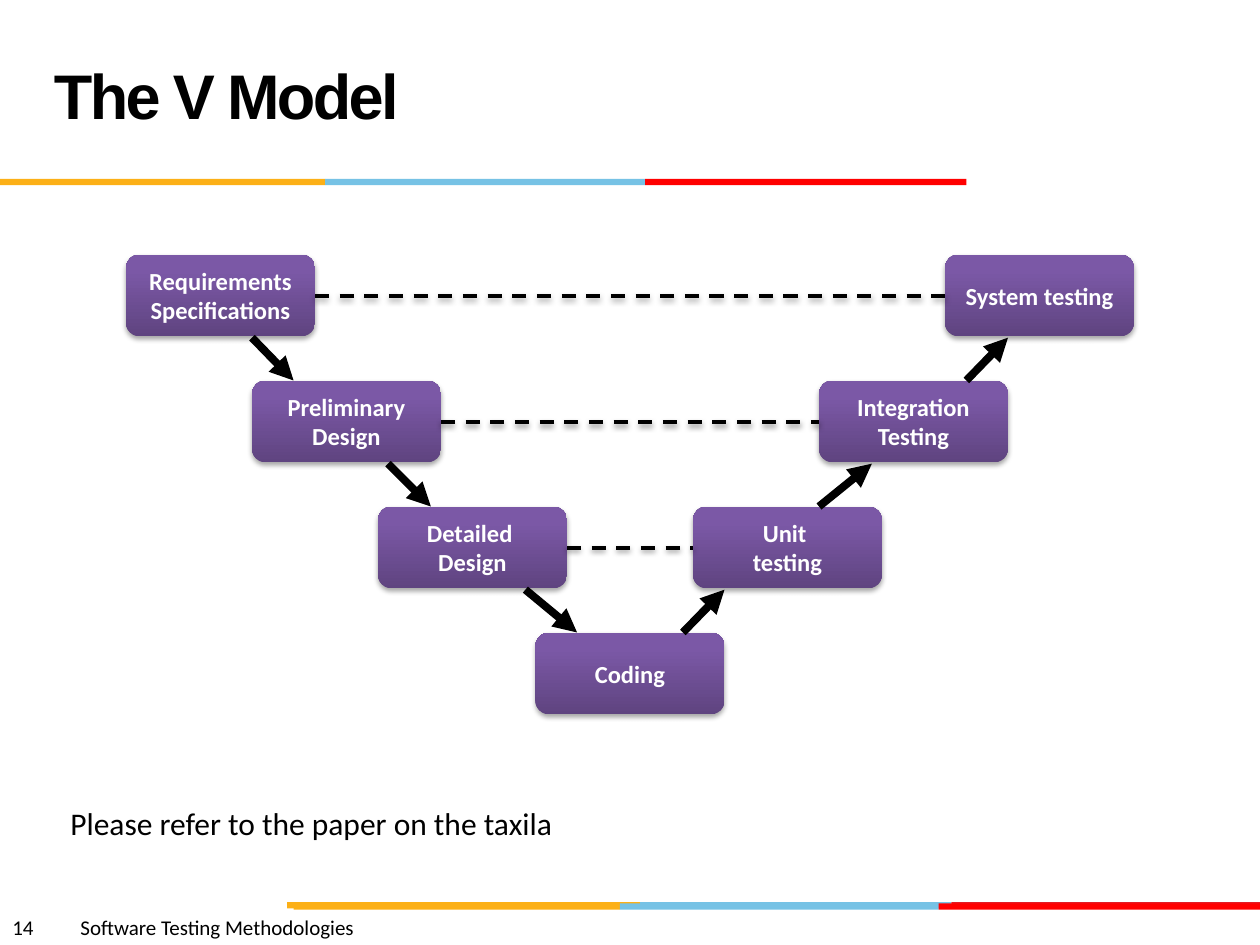
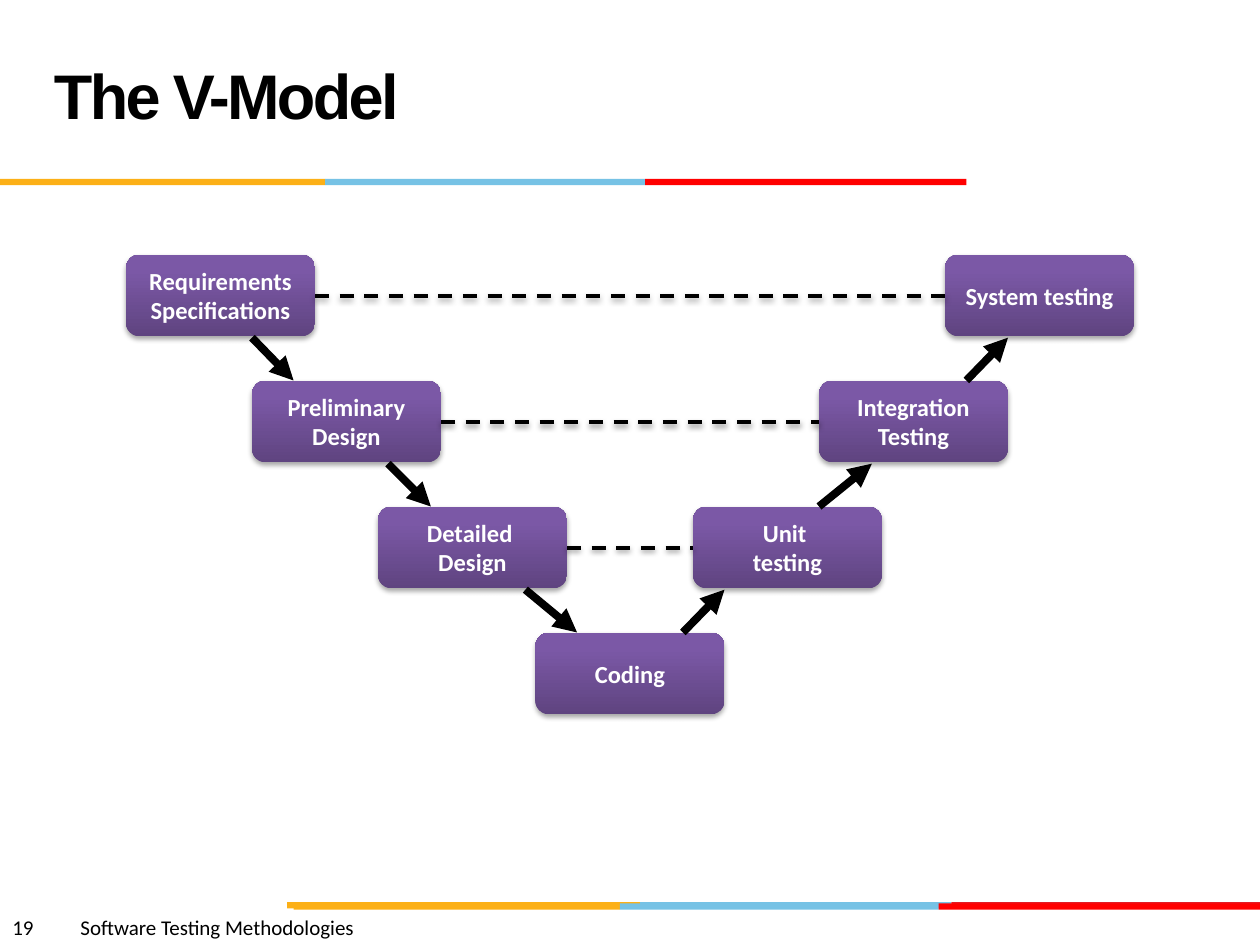
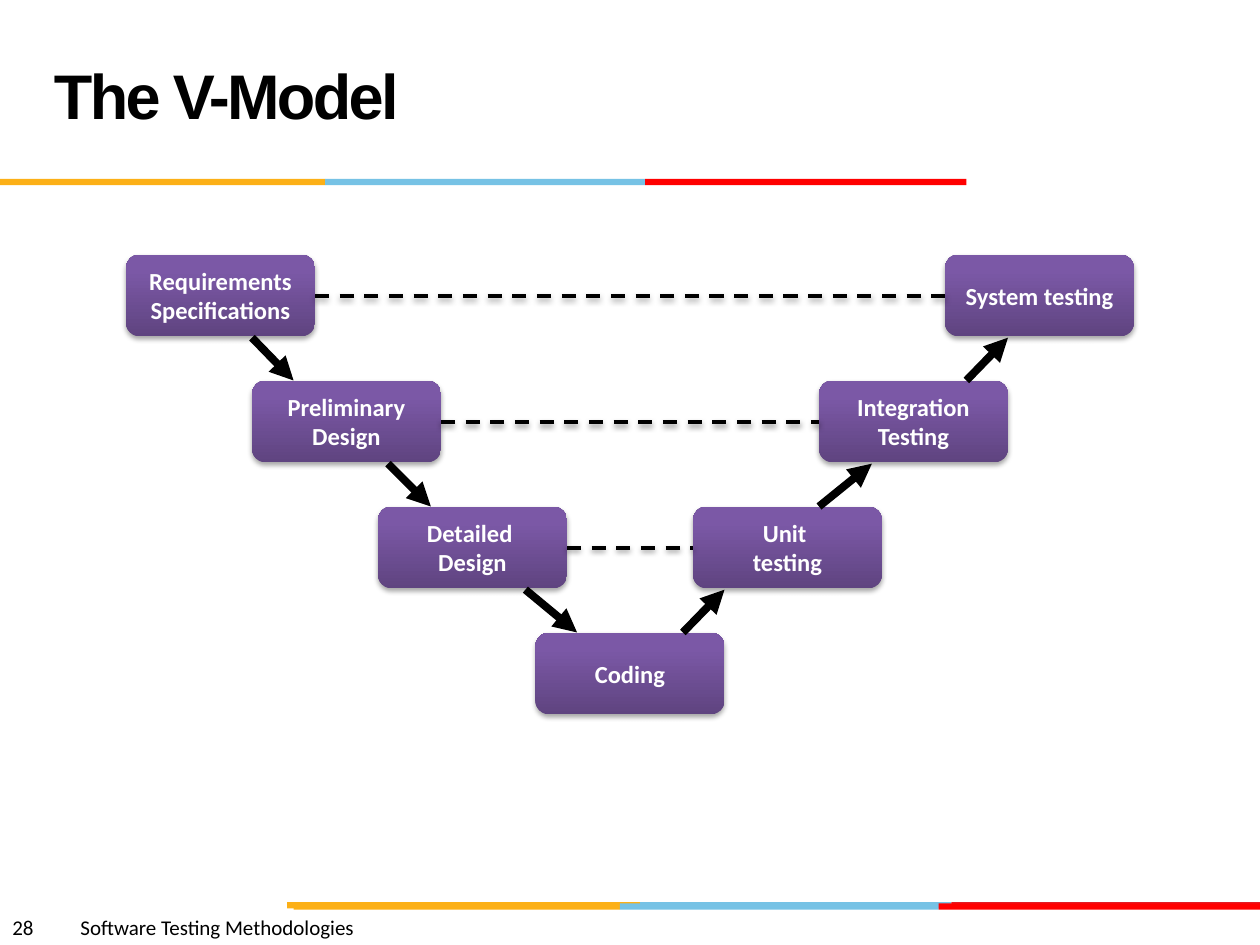
from dataclasses import dataclass

from lxml import etree
from pptx import Presentation
from pptx import util as u
from pptx.dml.color import RGBColor
from pptx.enum import dml, shapes, text
from pptx.oxml import ns

COLOURS = {
    "ink": "000000", "paper": "FFFFFF",
    "gold": "FCB017", "sky": "76C2E5", "red": "FF0000", "crimson": "E31C24",
    "purple_dark": "5F4480", "purple": "7B58A6", "purple_light": "7C57A8",
}
COLUMNS, ROWS = 10, 7.5
CELL = u.Inches(1)
BAND_HEIGHT = 0.05
STAGE_WIDTH, STAGE_HEIGHT = 1.5, 0.65
STAGE_GRADIENT = [(0, "purple_dark"), (80, "purple"), (100, "purple_light")]

DESIGN_STAGES = [["Requirements Specifications"], ["Preliminary Design"], ["Detailed ", "Design"]]
TESTING_STAGES = [["System testing"], ["Integration Testing"], ["Unit ", "testing"]]
DESCENTS = [(1, 1.33), (2.08, 2.42), (3.17, 3.58)]
ASCENTS = [(6.67, 7), (5.5, 5.92), (4.42, 4.75)]

SLIDES = [
    ("The V Model", 14, "Please refer to the paper on the taxila"),
    ("The V-Model", 19, None),
    ("The V-Model", 28, None),
]


@dataclass
class Box:
    left: float
    top: float
    width: float
    height: float

    def place(self, column, row):
        return int((self.left + column) * CELL), int((self.top + row) * CELL)

    def frame(self):
        return (*self.place(0, 0), int(self.width * CELL), int(self.height * CELL))

    def inner(self, column, row, width, height):
        return Box(self.left + column, self.top + row, width, height)


TITLE = Box(0.33, 0.17, 6.92, 1.25)
TOP_BANDS = Box(0, 1.42, COLUMNS, BAND_HEIGHT)
LOWER_BANDS = Box(0, 7.16, COLUMNS, BAND_HEIGHT)
V_MODEL = Box(1, 2.02, 8, 3.65)
REMARK = Box(0.46, 6.33, 4.15, 0.4)
FOOTER = Box(0, 7.21, 5, 0.3)


def colour(name):
    return RGBColor.from_string(COLOURS[name])


def add_xml(parent, tag, **attributes):
    return etree.SubElement(parent, ns.qn(tag), {key: str(value) for key, value in attributes.items()})


def add_rgb(parent, name):
    return add_xml(parent, "a:srgbClr", val=COLOURS[name])


def add_shadow(effects, distance, opacity):
    shadow = add_xml(effects, "a:outerShdw", blurRad=u.Pt(3.1), dist=u.Pt(distance),
                     dir=5400000, rotWithShape=0)
    add_xml(add_rgb(shadow, "ink"), "a:alpha", val=opacity * 1000)


def write(paragraph, words, size, ink="ink", face="Calibri", bold=False):
    run = paragraph.add_run()
    run.text = words
    run.font.size = u.Pt(size)
    run.font.name = face
    run.font.bold = bold
    run.font.color.rgb = colour(ink)
    return run


def text_frame(slide, box, wrap=True):
    frame = slide.shapes.add_textbox(*box.frame()).text_frame
    frame.word_wrap = wrap
    return frame


def draw_bands(slide, box, edges, names):
    for start, end, name in zip(edges, edges[1:], names):
        band = slide.shapes.add_shape(shapes.MSO_SHAPE.RECTANGLE,
                                      *box.inner(start, 0, end - start, box.height).frame())
        band.shadow.inherit = False
        band.fill.solid()
        band.fill.fore_color.rgb = colour(name)
        band.line.fill.background()


def draw_title(slide, box, words):
    frame = text_frame(slide, box)
    frame.vertical_anchor = text.MSO_ANCHOR.MIDDLE
    paragraph = frame.paragraphs[0]
    paragraph.line_spacing = u.Pt(36)
    run = write(paragraph, words, 36, face="Arial", bold=True)
    run._r.get_or_add_rPr().set("spc", "-150")


def draw_footer(slide, box, number):
    paragraph = text_frame(slide, box).paragraphs[0]
    tabs = add_xml(paragraph._p.get_or_add_pPr(), "a:tabLst")
    add_xml(tabs, "a:tab", pos=u.Inches(0.54), algn="l")
    write(paragraph, f"{number}\tSoftware Testing Methodologies", 12)


def draw_stage(slide, box, lines):
    stage = slide.shapes.add_shape(shapes.MSO_SHAPE.FLOWCHART_ALTERNATE_PROCESS, *box.frame())
    stage.line.fill.background()
    stage.shadow.inherit = False
    properties = stage._element.spPr
    add_shadow(properties.find(ns.qn("a:effectLst")), 1.8, 35)
    gradient = etree.Element(ns.qn("a:gradFill"), rotWithShape="1")
    stops = add_xml(gradient, "a:gsLst")
    for position, name in STAGE_GRADIENT:
        add_rgb(add_xml(stops, "a:gs", pos=position * 1000), name)
    add_xml(gradient, "a:lin", ang=16200000, scaled=0)
    properties.find(ns.qn("a:prstGeom")).addnext(gradient)
    frame = stage.text_frame
    frame.word_wrap = True
    frame.vertical_anchor = text.MSO_ANCHOR.MIDDLE
    for index, words in enumerate(lines):
        paragraph = frame.add_paragraph() if index else frame.paragraphs[0]
        paragraph.alignment = text.PP_ALIGN.CENTER
        write(paragraph, words, 14, "paper", bold=True)


def draw_line(slide, start, end, width):
    line = slide.shapes.add_connector(shapes.MSO_CONNECTOR.STRAIGHT, *start, *end)
    line.line.color.rgb = colour("ink")
    line.line.width = u.Pt(width)
    effects = add_xml(line._element.spPr, "a:effectLst")
    return line, effects


def draw_arrow(slide, start, end):
    arrow, _ = draw_line(slide, start, end, 4.5)
    add_xml(arrow._element.spPr.find(ns.qn("a:ln")), "a:tailEnd", type="triangle")


def draw_match(slide, start, end):
    match, effects = draw_line(slide, start, end, 2)
    match.line.dash_style = dml.MSO_LINE.DASH
    add_shadow(effects, 1.6, 38)


def draw_v_model(slide, box):
    def stage(column, row, lines):
        draw_stage(slide, box.inner(column, row, STAGE_WIDTH, STAGE_HEIGHT), lines)

    last_column = box.width - STAGE_WIDTH
    for row, lines in enumerate(DESIGN_STAGES):
        stage(row, row, lines)
    stage(last_column / 2, len(DESIGN_STAGES), ["Coding"])
    for row, lines in enumerate(TESTING_STAGES):
        stage(last_column - row, row, lines)

    for row, ((down, landing), (rise, summit)) in enumerate(zip(DESCENTS, ASCENTS)):
        upper, lower = row + STAGE_HEIGHT + 0.01, row + 1
        draw_arrow(slide, box.place(down, upper), box.place(landing, lower))
        draw_arrow(slide, box.place(rise, lower), box.place(summit, upper))
        middle = row + 0.33
        draw_match(slide, box.place(row + STAGE_WIDTH, middle), box.place(last_column - row, middle))


def draw_remark(slide, box, words):
    write(text_frame(slide, box, wrap=False).paragraphs[0], words, 18)


def build_slide(deck, title, number, remark):
    slide = deck.slides.add_slide(deck.slide_layouts[6])
    draw_bands(slide, LOWER_BANDS, [2.28, 5.08, 7.55, COLUMNS], ["gold", "sky", "crimson"])
    draw_bands(slide, LOWER_BANDS.inner(0, 0.01, COLUMNS, BAND_HEIGHT),
               [2.33, 4.92, 7.45, COLUMNS], ["gold", "sky", "red"])
    draw_bands(slide, TOP_BANDS, [0, 2.58, 5.12, 7.67], ["gold", "sky", "red"])
    draw_footer(slide, FOOTER, number)
    draw_title(slide, TITLE, title)
    draw_v_model(slide, V_MODEL)
    if remark:
        draw_remark(slide, REMARK, remark)


def main():
    deck = Presentation()
    deck.slide_width = int(COLUMNS * CELL)
    deck.slide_height = int(ROWS * CELL)
    for title, number, remark in SLIDES:
        build_slide(deck, title, number, remark)
    deck.save("out.pptx")


if __name__ == "__main__":
    main()
